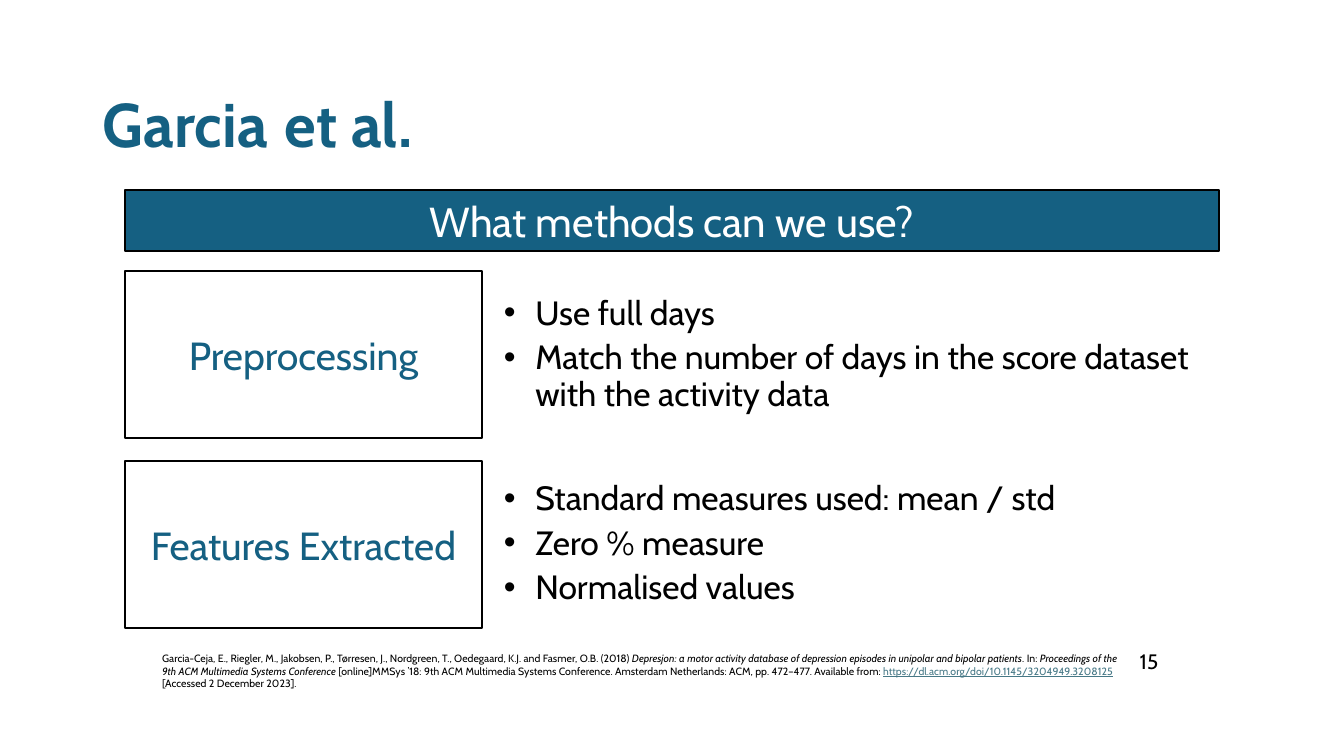
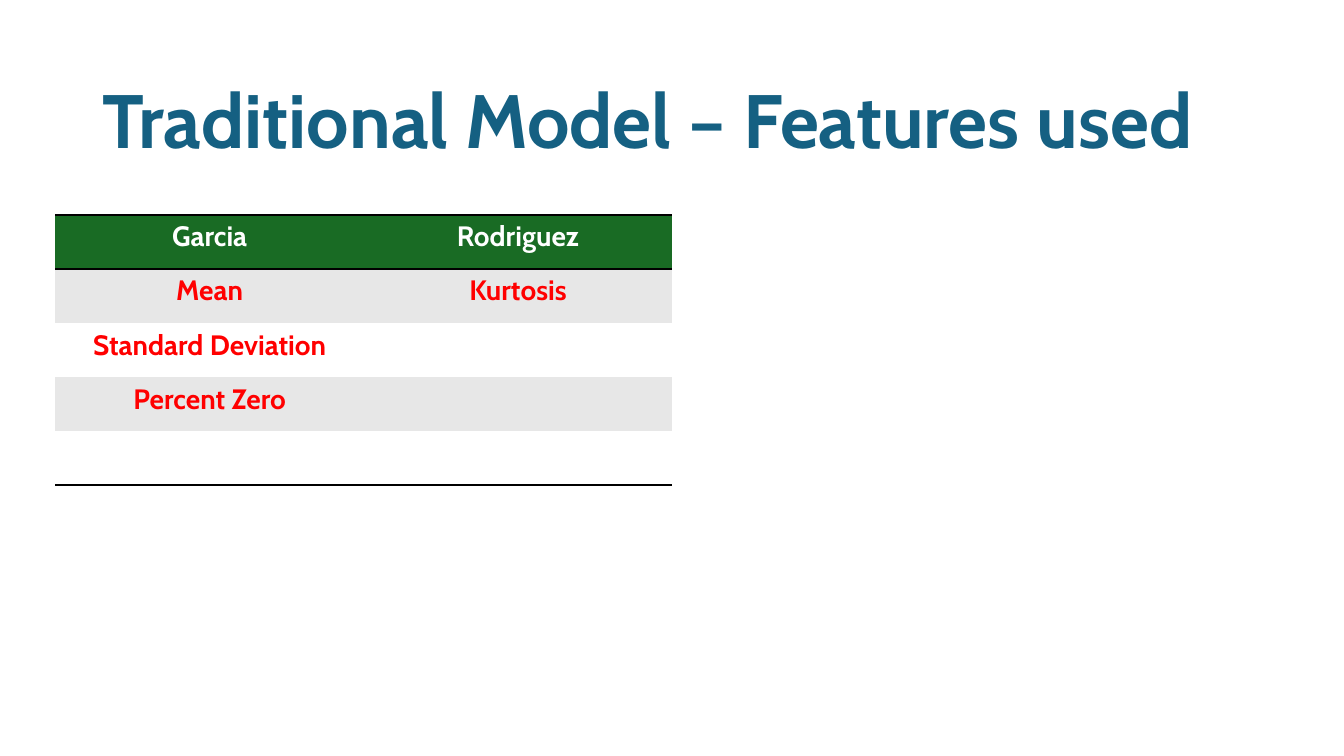
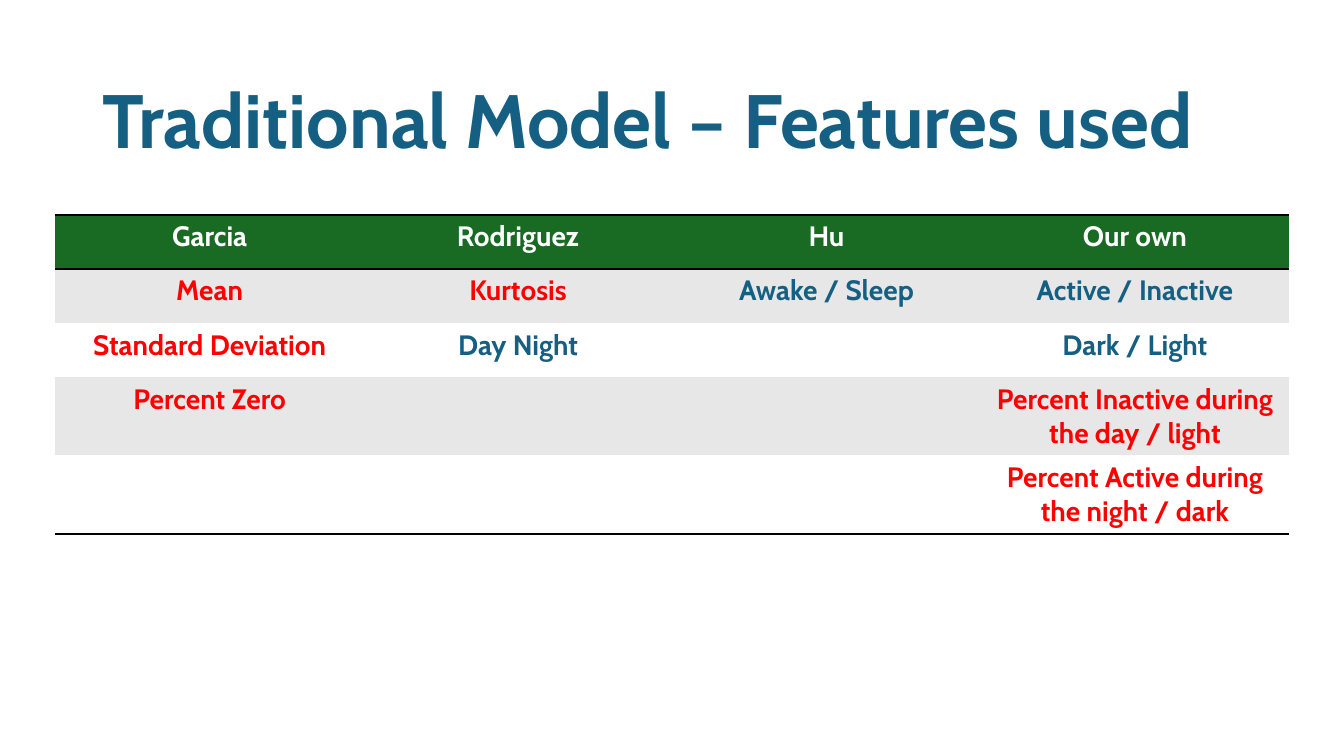
from lxml.etree import SubElement as Sub
from pptx import Presentation
from pptx.dml.color import RGBColor
from pptx.enum.shapes import MSO_SHAPE as Shape
from pptx.enum.text import MSO_ANCHOR as Anchor, MSO_AUTO_SIZE as Auto, PP_ALIGN as Align
from pptx.oxml.ns import qn
from pptx.util import Pt

# Shared style
BLUE = RGBColor(0x15, 0x60, 0x82)
GREEN = RGBColor(0x19, 0x6B, 0x24)
RED = RGBColor(0xFF, 0, 0)
GREY = RGBColor(0xE7, 0xE7, 0xE7)
LINK = RGBColor(0x46, 0x78, 0x86)
BLACK = RGBColor(0, 0, 0)
WHITE = RGBColor(0xFF, 0xFF, 0xFF)
FONT = "Cabin"
PLAIN = "{2D5ABB26-0587-4C30-8999-92F81FD0307C}"  # table style without grid

# Layout in points
LEFT, WIDE = 89.3, 781.2
BOX_W, BOX_H = 254.9, 119.5
BOX_TOP, STEP = 193.7, 135.4
LIST_X = 352.8
COL, ROW = 220.32, 38.64

METHODS = [
    ("Preprocessing",
     ["Use full days",
      "Match the number of days in the score dataset with the activity data"]),
    ("Features Extracted",
     ["Standard measures used: mean / std", "Zero % measure", "Normalised values"]),
]
SOURCE = [
    ("Garcia-Ceja, E., Riegler, M., Jakobsen, P., Tørresen, J., Nordgreen, T., "
     "Oedegaard, K.J. and Fasmer, O.B. (2018) ", {}),
    ("Depresjon: a motor activity database of depression episodes in unipolar "
     "and bipolar patients", {"italic": True}),
    (". In: ", {}),
    ("Proceedings of the 9th ACM Multimedia Systems Conference", {"italic": True}),
    (" [online]MMSys ’18: 9th ACM Multimedia Systems Conference. Amsterdam "
     "Netherlands: ACM, pp. 472–477. Available from: ", {}),
    ("https://dl.acm.org/doi/10.1145/3204949.3208125",
     {"color": LINK, "underline": True}),
    (" [Accessed 2 December 2023].", {}),
]
FIRST = [
    [("Garcia", WHITE), ("Rodriguez", WHITE)],
    [("Mean", RED), ("Kurtosis", RED)],
    [("Standard Deviation", RED), None],
    [("Percent Zero", RED), None],
    [None, None],
]
ADDED = [
    [("Hu", WHITE), ("Our own", WHITE)],
    [("Awake / Sleep", BLUE), ("Active / Inactive", BLUE)],
    [None, ("Dark / Light", BLUE)],
    [None, ("Percent Inactive during the day / light", RED)],
    [None, ("Percent Active during the night / dark", RED)],
]


def area(x, y, w, h):
    return Pt(x), Pt(y), Pt(w), Pt(h)


def add_run(para, text, size, color=BLACK, **style):
    run = para.add_run()
    run.text = text
    font = run.font
    font.name, font.size = FONT, Pt(size)
    font.color.rgb = color
    for name, value in style.items():
        setattr(font, name, value)


def add_slide(deck, head, tail, size):
    """Title-only slide; the words are bold, the gap between them is not."""
    slide = deck.slides.add_slide(deck.slide_layouts[5])
    title = slide.shapes.title
    title.left, title.top, title.width, title.height = area(66.24, 44, 828, 89.3)
    frame = title.text_frame
    frame.word_wrap, frame.auto_size = True, Auto.NONE
    frame.vertical_anchor = Anchor.MIDDLE
    para = frame.paragraphs[0]
    para.alignment, para.line_spacing = Align.LEFT, 0.9
    add_run(para, head, size, BLUE, bold=True)
    add_run(para, " ", 52, BLUE, bold=False)
    add_run(para, tail, size, BLUE, bold=True)
    return slide


def add_note(slide, place, runs, size):
    frame = slide.shapes.add_textbox(*place).text_frame
    frame.word_wrap = True
    para = frame.paragraphs[0]
    para.space_after = Pt(6)
    for text, style in runs:
        add_run(para, text, size, **style)


def add_rect(slide, place, fill, edge=True):
    rect = slide.shapes.add_shape(Shape.RECTANGLE, *place)
    rect.shadow.inherit = False
    rect.fill.solid()
    rect.fill.fore_color.rgb = fill
    if edge:
        rect.line.color.rgb = BLACK
        rect.line.width = Pt(1.5)
    else:
        rect.line.fill.background()
    frame = rect.text_frame
    frame.word_wrap, frame.vertical_anchor = True, Anchor.MIDDLE
    return frame


def add_label(slide, place, text, size, fill, color):
    para = add_rect(slide, place, fill).paragraphs[0]
    para.alignment, para.space_after = Align.CENTER, Pt(6)
    add_run(para, text, size, color)


def add_list(slide, place, items):
    frame = add_rect(slide, place, WHITE, edge=False)
    for i, item in enumerate(items):
        para = frame.add_paragraph() if i else frame.paragraphs[0]
        props = para._p.get_or_add_pPr()
        props.set("marL", str(Pt(22.5)))
        props.set("indent", str(-Pt(22.5)))
        Sub(props, qn("a:buFont")).set("typeface", "Arial")
        Sub(props, qn("a:buChar")).set("char", "•")
        para.alignment, para.line_spacing = Align.LEFT, 0.9
        para.space_after = Pt(6)
        add_run(para, item, 24)


def add_rule(cell, side):
    line = Sub(cell._tc.get_or_add_tcPr(), qn("a:" + side), w=str(Pt(2)))
    color = Sub(Sub(line, qn("a:solidFill")), qn("a:srgbClr"))
    color.set("val", str(BLACK))


def add_grid(slide, rows):
    count, last = len(rows[0]), len(rows) - 1
    place = area(39.6, 153.4, COL * count, ROW * len(rows))
    shape = slide.shapes.add_table(len(rows), count, *place)
    table = shape.table
    table.first_row = table.horz_banding = False
    for style in shape.element.iter(qn("a:tableStyleId")):
        style.text = PLAIN
    for r, row in enumerate(rows):
        for c, entry in enumerate(row):
            cell = table.cell(r, c)
            # Rules above and below the head, and below the last row
            if r == 0:
                add_rule(cell, "lnT")
            if r in (0, last):
                add_rule(cell, "lnB")
            cell.fill.solid()
            cell.fill.fore_color.rgb = GREEN if r == 0 else GREY if r % 2 else WHITE
            if entry:
                para = cell.text_frame.paragraphs[0]
                para.alignment = Align.CENTER
                add_run(para, entry[0], 20, entry[1], bold=True)


def main():
    deck = Presentation()
    deck.slide_width, deck.slide_height = Pt(960), Pt(540)

    # Methods
    slide = add_slide(deck, "Garcia", "et al.", 44)
    add_note(slide, area(108.7, 462.2, 698.4, 44.6), SOURCE, 7.5)
    add_note(slide, area(807, 460, 59, 24), [("15", {})], 14.9)
    add_label(slide, area(LEFT, 135.4, WIDE, 43.9),
              "What methods can we use?", 29.9, BLUE, WHITE)
    for i, (name, items) in enumerate(METHODS):
        top = BOX_TOP + i * STEP
        add_label(slide, area(LEFT, top, BOX_W, BOX_H), name, 28, WHITE, BLUE)
        add_list(slide, area(LIST_X, top, LEFT + WIDE - LIST_X, BOX_H), items)

    # Features, first in part and then in full
    full = [left + right for left, right in zip(FIRST, ADDED)]
    full[2][1] = ("Day Night", BLUE)
    for rows in (FIRST, full):
        slide = add_slide(deck, "Traditional", "Model – Features used", 54)
        add_grid(slide, rows)

    deck.save("out.pptx")


if __name__ == "__main__":
    main()
